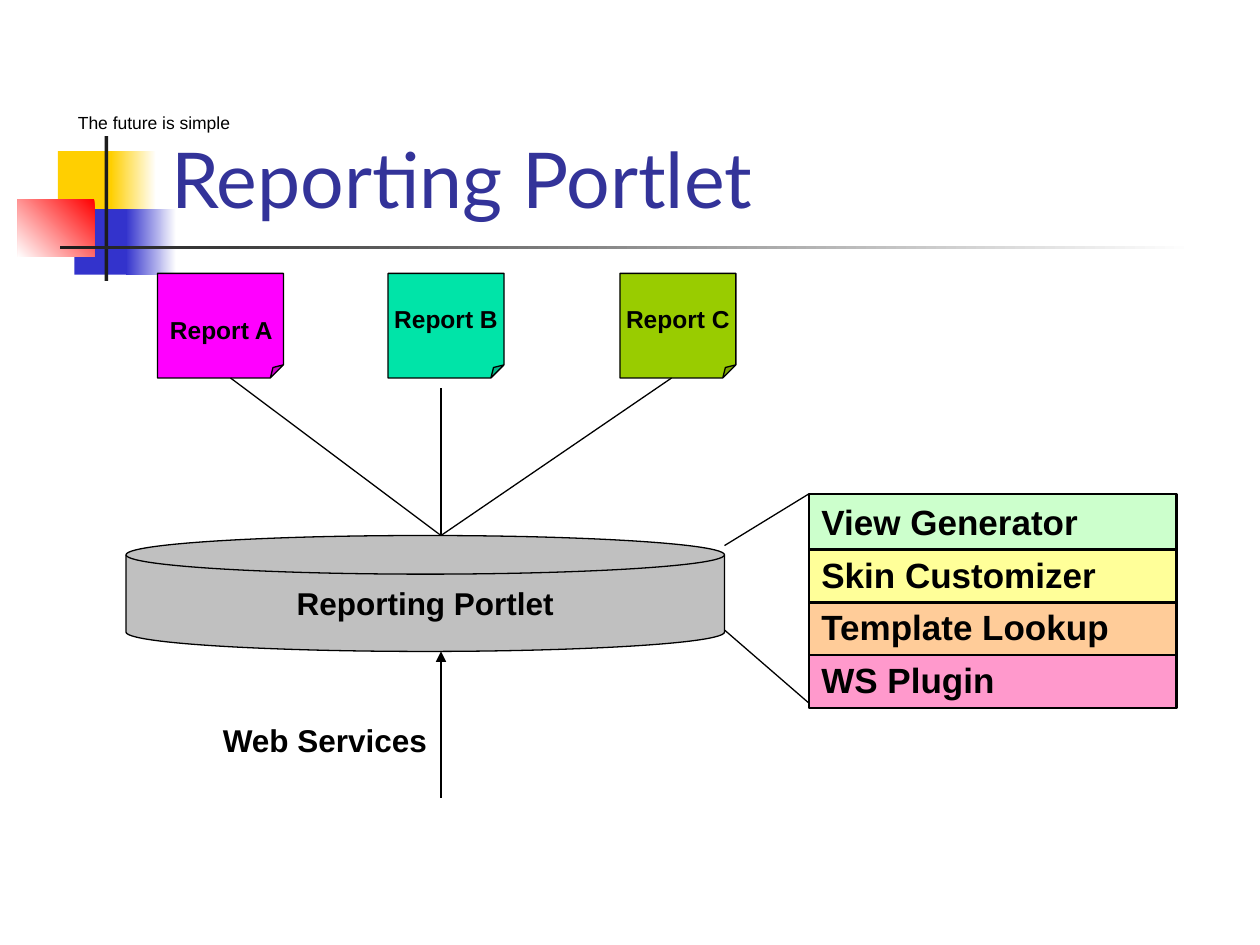
from pptx import Presentation
from pptx.util import Inches, Pt
from pptx.dml.color import RGBColor
from pptx.enum.shapes import MSO_CONNECTOR, MSO_SHAPE
from pptx.enum.text import MSO_ANCHOR, PP_ALIGN
from pptx.oxml.ns import qn
from lxml.etree import SubElement

COLORS = {
    "white": "FFFFFF", "black": "000000", "rule": "1C1C1C", "title": "333399",
    "yellow": "FFCF01", "blue": "3333CC", "red": "FF0000", "disk": "C0C0C0",
    "report_a": "FF00FF", "report_b": "00E4A8", "report_c": "99CC00",
    "view": "CCFFCC", "skin": "FFFF99", "template": "FFCC99", "plugin": "FF99CC",
}
THIN = 0.74


def rgb(name):
    return RGBColor.from_string(COLORS[name])


def write(shape, text, size, color="black", font="Arial", bold=True,
          align=PP_ALIGN.LEFT, anchor=MSO_ANCHOR.TOP, wrap=False):
    frame = shape.text_frame
    frame.text = text
    frame.word_wrap = wrap
    frame.vertical_anchor = anchor
    paragraph = frame.paragraphs[0]
    paragraph.alignment = align
    style = paragraph.runs[0].font
    style.name, style.size, style.bold = font, Pt(size), bold
    style.color.rgb = rgb(color)
    return paragraph


def add_label(slide, box, text, size, **options):
    label = slide.shapes.add_textbox(*map(Inches, box))
    return write(label, text, size, **options)


def add_block(shapes, kind, box, fill, line_width=None):
    shape = shapes.add_shape(kind, *map(Inches, box))
    shape.shadow.inherit = False
    shape.fill.solid()
    shape.fill.fore_color.rgb = rgb(fill)
    if line_width:
        shape.line.color.rgb = rgb("black")
        shape.line.width = Pt(line_width)
    else:
        shape.line.fill.background()
    return shape


def add_fade(shapes, box, start, end, angle=180):
    shape = add_block(shapes, MSO_SHAPE.RECTANGLE, box, start)
    shape.fill.gradient()
    shape.fill.gradient_angle = angle
    for stop, color in zip(shape.fill.gradient_stops, (start, end)):
        stop.color.rgb = rgb(color)


def add_line(slide, start, end, arrow=False):
    line = slide.shapes.add_connector(
        MSO_CONNECTOR.STRAIGHT, *map(Inches, (*start, *end)))
    line.line.color.rgb = rgb("black")
    line.line.width = Pt(THIN)
    if arrow:
        SubElement(line._element.spPr.find(qn("a:ln")), qn("a:tailEnd"),
                   type="triangle")
    SubElement(line._element.spPr, qn("a:effectLst"))


def add_header(slide, left, top):
    """Coloured squares, crossing rules, tagline and title."""
    shapes = slide.shapes
    rectangle = MSO_SHAPE.RECTANGLE
    add_block(shapes, rectangle, (left + 0.32, top + 0.12, 0.48, 0.52), "yellow")
    add_fade(shapes, (left + 0.74, top + 0.12, 0.36, 0.52), "white", "yellow")
    add_block(shapes, rectangle, (left + 0.45, top + 0.58, 0.46, 0.52), "blue")
    add_fade(shapes, (left + 0.86, top + 0.58, 0.4, 0.52), "white", "blue")
    add_fade(shapes, (left, top + 0.5, 0.61, 0.46), "red", "white", 225)
    add_block(shapes, rectangle, (left + 0.69, top, 0.03, 1.15), "rule")
    add_fade(shapes, (left + 0.34, top + 0.87, 9, 0.03), "white", "rule")
    tagline = add_label(slide, (left + 0.38, top - 0.24, 1.5, 0.27),
                        "The future is simple", 10, bold=False, wrap=True)
    tagline.space_before = Pt(6.2)
    add_label(slide, (left + 1.12, top - 0.85, 8.52, 1.6), "Reporting Portlet", 44,
              color="title", font="Lato", bold=False,
              anchor=MSO_ANCHOR.BOTTOM, wrap=True)


def add_portlet(slide, left, top, width, height):
    """Central disk with the web services arrow below it."""
    disk = add_block(slide.shapes, MSO_SHAPE.FLOWCHART_MAGNETIC_DISK,
                     (left, top, width, height), "disk", THIN)
    write(disk, "Reporting Portlet", 18,
          align=PP_ALIGN.CENTER, anchor=MSO_ANCHOR.MIDDLE)
    bottom = top + height
    add_line(slide, (left + 2.5, bottom + 1.16), (left + 2.5, bottom), arrow=True)
    add_label(slide, (left + 0.67, bottom + 0.5, 1.82, 0.4), "Web Services", 18)


def add_reports(slide, left, top, hub):
    """Row of folded notes, each joined to the hub."""
    height = 0.83
    reports = [
        # name, fill, offset, width, line end
        ("Report A", "report_a", 0, 1, (0.58, height)),
        ("Report B", "report_b", 1.83, 0.92, (2.25, height + 0.08)),
        ("Report C", "report_c", 3.67, 0.92, (4.08, height)),
    ]
    for name, fill, offset, width, (end_x, end_y) in reports:
        note = add_block(slide.shapes, MSO_SHAPE.FOLDED_CORNER,
                         (left + offset, top, width, height), fill, THIN)
        # Size of the folded corner
        guides = note._element.spPr.find(qn("a:prstGeom")).find(qn("a:avLst"))
        SubElement(guides, qn("a:gd"), name="adj", fmla="val 12500")
        add_line(slide, hub, (left + end_x, top + end_y))
        if name == "Report A":
            add_label(slide, (left, top + 0.28, 1.02, 0.34), name, 14)
        else:
            write(note, name, 14, align=PP_ALIGN.CENTER, anchor=MSO_ANCHOR.MIDDLE)


def add_components(slide, left, top, width, portlet_right):
    """Grouped stack of parts, fanned out from the portlet."""
    pitch, height = 0.42, 0.44
    parts = [("View Generator", "view"), ("Skin Customizer", "skin"),
             ("Template Lookup", "template"), ("WS Plugin", "plugin")]
    group = slide.shapes.add_group_shape()
    for index, (name, fill) in reversed(list(enumerate(parts))):
        row = add_block(group.shapes, MSO_SHAPE.RECTANGLE,
                        (left, top + index * pitch, width, height), fill, 1.5)
        write(row, name, 20, wrap=True)
    add_line(slide, (portlet_right, top + 0.41), (left, top))
    add_line(slide, (portlet_right, top + 1.08), (left, top + 1.66))


presentation = Presentation()
presentation.slide_width, presentation.slide_height = Inches(10), Inches(7.5)
slide = presentation.slides.add_slide(presentation.slide_layouts[6])

add_header(slide, 0.14, 1.08)
add_portlet(slide, 1, 4.25, 4.75, 0.92)
add_reports(slide, 1.25, 2.17, hub=(3.5, 4.25))
add_components(slide, 6.42, 3.92, 2.92, portlet_right=5.75)

presentation.save("out.pptx")
